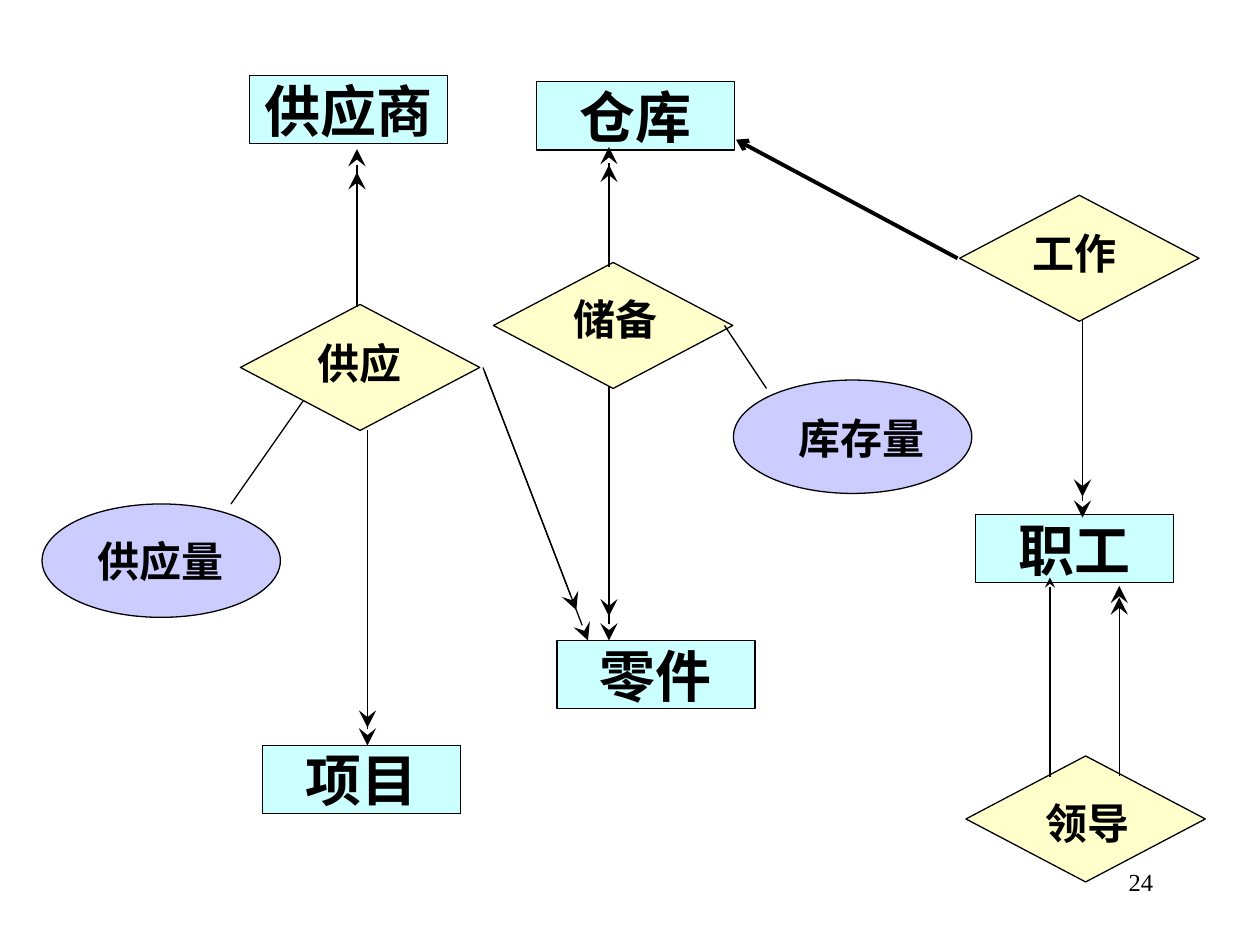
import math
from dataclasses import dataclass

import lxml.etree
import pptx
import pptx.dml.color
import pptx.enum.shapes
import pptx.enum.text
import pptx.oxml.ns
import pptx.util

SHAPE = pptx.enum.shapes.MSO_SHAPE
ALIGN = pptx.enum.text.PP_ALIGN
ANCHOR = pptx.enum.text.MSO_ANCHOR
CELLS_PER_INCH = 12  # all lengths below are cells of a 120 x 90 grid


@dataclass(frozen=True)
class Theme:
    font: str = "Times New Roman"
    ink: str = "000000"
    entity: str = "CCFFFF"
    relation: str = "FFFFCC"
    attribute: str = "CCCCFF"
    entity_size: int = 32
    label_size: int = 24
    page_size: int = 14
    thin: float = 0.75
    thick: float = 2.25


THEME = Theme()
ENTITY = (18.85, 6.5)
RELATION = (22.8, 12)
ATTRIBUTE = (22.7, 10.8)
LABEL = (16, 4.8)


def cells(*values):
    return [pptx.util.Inches(v / CELLS_PER_INCH) for v in values]


def rgb(code):
    return pptx.dml.color.RGBColor.from_string(code)


def write(sp, text, size, bold=True, align=ALIGN.CENTER, anchor=ANCHOR.MIDDLE, inset=(0, 0)):
    tf = sp.text_frame
    tf.word_wrap = True
    tf.vertical_anchor = anchor
    tf.margin_left = tf.margin_right = pptx.util.Inches(inset[0])
    tf.margin_top = tf.margin_bottom = pptx.util.Inches(inset[1])
    p = tf.paragraphs[0]
    p.alignment = align
    r = p.add_run()
    r.text = text
    r.font.name = THEME.font
    r.font.size = pptx.util.Pt(size)
    r.font.bold = bold
    r.font.color.rgb = rgb(THEME.ink)


def add_node(s, kind, box, fill):
    sp = s.shapes.add_shape(kind, *cells(*box))
    sp.shadow.inherit = False
    sp.fill.solid()
    sp.fill.fore_color.rgb = rgb(fill)
    sp.line.color.rgb = rgb(THEME.ink)
    sp.line.width = pptx.util.Pt(THEME.thin)
    return sp


def add_label(s, box, text, shift):
    """Centre a label on the box, moved by shift."""
    x, y, w, h = box
    left = x + (w - LABEL[0]) / 2 + shift[0]
    top = y + (h - LABEL[1]) / 2 + shift[1]
    write(s.shapes.add_textbox(*cells(left, top, *LABEL)), text, THEME.label_size)


def add_line(s, start, end, width=THEME.thin, head=None, head_size="lg"):
    line = s.shapes.add_connector(pptx.enum.shapes.MSO_CONNECTOR.STRAIGHT, *cells(*start, *end))
    line.line.color.rgb = rgb(THEME.ink)
    line.line.width = pptx.util.Pt(width)
    qn = pptx.oxml.ns.qn
    if head:
        lxml.etree.SubElement(line.line._get_or_add_ln(), qn("a:tailEnd"),
                              type=head, w=head_size, len=head_size)
    lxml.etree.SubElement(line._element.spPr, qn("a:effectLst"))


def add_double_arrow(s, start, end, trim):
    """Draw an arrow and a second one on it, cut by trim at its start and tip."""
    length = math.dist(start, end)

    def along(distance):
        return [a + (b - a) * distance / length for a, b in zip(start, end)]

    add_line(s, start, end, head="stealth")
    add_line(s, along(trim[0]), along(length - trim[1]), head="stealth")


def offset(box, point):
    return box[0] + point[0], box[1] + point[1]


def entity(s, corner, name):
    write(add_node(s, SHAPE.RECTANGLE, (*corner, *ENTITY), THEME.entity), name, THEME.entity_size)


def attribute(s, corner, name, shift, start, end):
    box = (*corner, *ATTRIBUTE)
    add_node(s, SHAPE.OVAL, box, THEME.attribute)
    add_line(s, offset(box, start), offset(box, end))
    add_label(s, box, name, shift)


def relation(s, corner, name, shift, doubles, single=None):
    """Draw a diamond with its arrows; arrow points count from its corner."""
    box = (*corner, *RELATION)
    add_node(s, SHAPE.DIAMOND, box, THEME.relation)
    for start, end, trim in doubles:
        add_double_arrow(s, offset(box, start), offset(box, end), trim)
    if single:
        start, end, style = single
        add_line(s, offset(box, start), offset(box, end), head_size="med", **style)
    add_label(s, box, name, shift)


def page_number(s, box, number):
    write(s.shapes.add_textbox(*cells(*box)), number, THEME.page_size, bold=False,
          align=ALIGN.RIGHT, anchor=ANCHOR.TOP, inset=(0.1, 0.05))


def main():
    prs = pptx.Presentation()
    prs.slide_width, prs.slide_height = cells(120, 90)
    s = prs.slides.add_slide(prs.slide_layouts[6])

    page_number(s, (86, 82, 25, 6), "24")
    for corner, name in [((23.75, 7.2), "供应商"), ((53.05, 61), "零件"), ((25, 71), "项目"),
                         ((92.9, 49), "职工"), ((51.1, 7.8), "仓库")]:
        entity(s, corner, name)

    attribute(s, (4, 48), "供应量", (-0.1, 0), (18, 0), (25, -10))
    relation(s, (22.9, 29), "供应", (-0.1, -0.5), [
        ((11.1, 0.2), (11.1, -14.8), (1.7, 2.2)),
        ((12.1, 12), (12.1, 42), (1.1, 1.7)),
        ((23.1, 6), (33.1, 32), (0.4, 3.1)),
    ])
    relation(s, (47, 25), "储备", (0.2, -0.6), [
        ((11, 11.8), (11, 36), (0.6, 2.3)),
        ((11, 0.4), (11, -11), (2.2, 1.7)),
    ])
    attribute(s, (69.85, 36.2), "库存量", (0.85, 0.1), (-0.85, -5.2), (3.15, 0.8))
    relation(s, (91.4, 18.6), "工作", (-0.5, -0.5),
             [((11.7, 11.8), (11.7, 30.7), (2.6, 2))],
             ((-0.2, 6), (-21.3, -5.3), {"head": "arrow", "width": THEME.thick}))
    relation(s, (92, 72), "领导", (0.2, 0.35),
             [((14.6, 0.8), (14.6, -16.2), (-1.1, 1.1))],
             ((8, 2), (8, -17), {"head": "stealth"}))

    prs.save("out.pptx")


if __name__ == "__main__":
    main()
